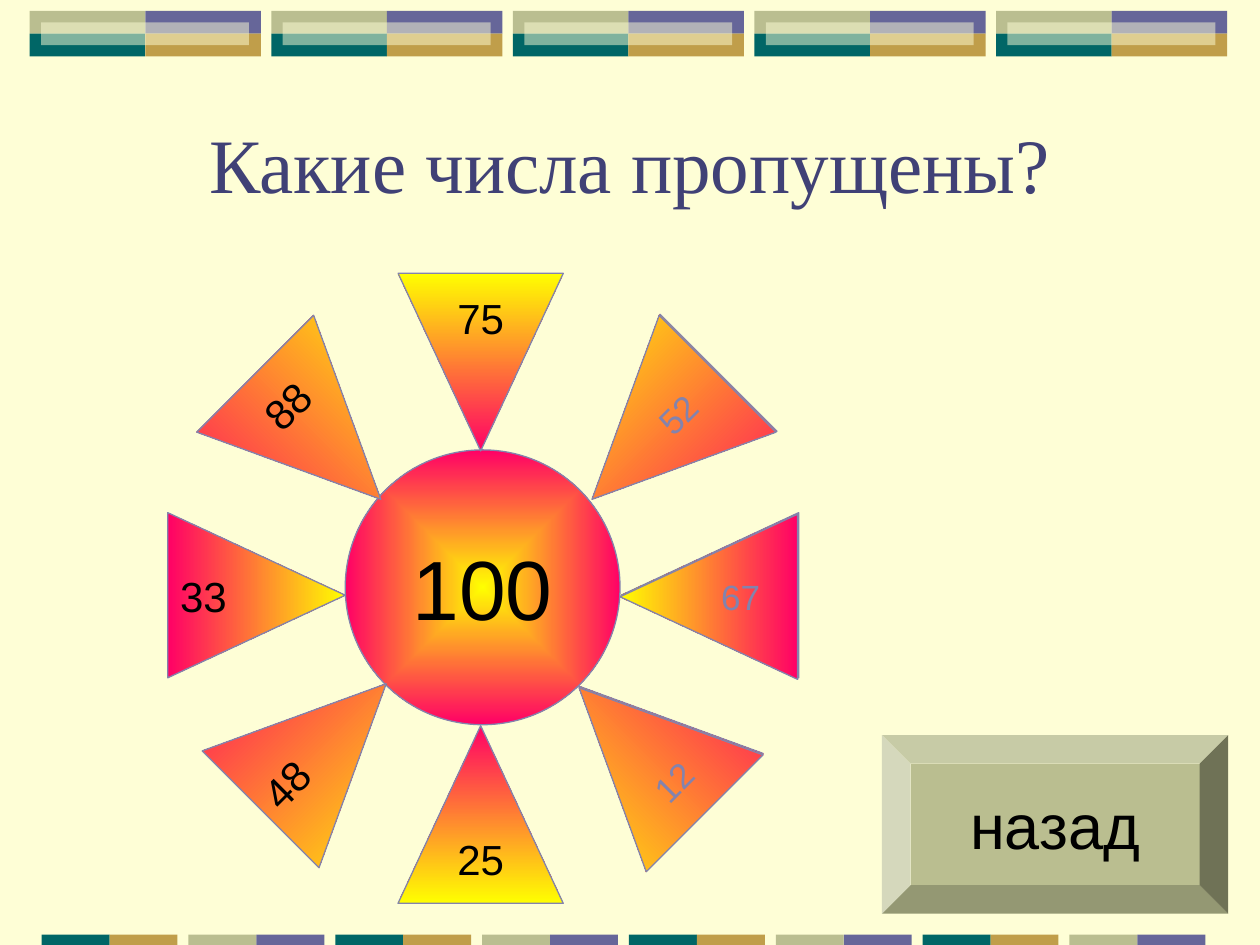
from dataclasses import dataclass

from lxml.etree import SubElement
from pptx import Presentation
from pptx.dml.color import RGBColor
from pptx.enum.shapes import MSO_SHAPE as Shape
from pptx.enum.text import MSO_ANCHOR, PP_ALIGN
from pptx.oxml.ns import qn
from pptx.util import Cm, Pt


@dataclass(frozen=True)
class Theme:
    cream: str = "FEFED6"
    violet: str = "666699"
    gold: str = "C09E4A"
    teal: str = "006666"
    olive: str = "BABE90"
    title: str = "404176"
    outline: str = "8383AD"
    pink: str = "FF0066"
    yellow: str = "FFFF00"
    ink: str = "000000"
    serif: str = "Times New Roman"
    sans: str = "Arial"
    title_size: int = 44
    centre_size: int = 48
    button_size: int = 36
    given_size: int = 24
    answer_size: int = 20


THEME = Theme()
PETAL_WIDTH, PETAL_HEIGHT = 3.33, 3.58

# (text, rotation, centre x, centre y); the petals without text are the blanks to fill
GIVEN_PETALS = [
    ("25", 0, 9.69, 16.42),
    ("75", 180, 9.69, 7.3),
    ("33", 90, 5.17, 12),
    ("", 270, 14.31, 12),
    ("88", 135, 6.41, 8.8),
    ("", 315, 12.94, 15.1),
    ("", 225, 13.22, 8.78),
    ("48", 45, 6.52, 15.05),
]
ANSWER_PETALS = [
    ("67", 270, 14.29, 12.03),
    ("12", 315, 12.94, 15.13),
    ("52", 225, 13.2, 8.8),
]


def rgb(code):
    return RGBColor.from_string(code)


def add_preset(page, kind, left, top, width, height):
    shape = page.shapes.add_shape(kind, Cm(left), Cm(top), Cm(width), Cm(height))
    shape.shadow.inherit = False
    shape.line.fill.background()
    return shape


def add_block(page, left, top, width, height, color, opacity=100):
    block = add_preset(page, Shape.RECTANGLE, left, top, width, height)
    block.fill.solid()
    block.fill.fore_color.rgb = rgb(color)
    if opacity < 100:
        fill_color = block._element.spPr.find(".//" + qn("a:srgbClr"))
        SubElement(fill_color, qn("a:alpha"), val=str(opacity * 1000))


def set_text(shape, text, size, color=THEME.ink, font=THEME.sans, wrap=False):
    frame = shape.text_frame
    frame.text = text
    frame.word_wrap = wrap
    frame.vertical_anchor = MSO_ANCHOR.MIDDLE
    para = frame.paragraphs[0]
    para.alignment = PP_ALIGN.CENTER
    para.font.size = Pt(size)
    para.font.name = font
    para.font.color.rgb = rgb(color)


def set_gradient(shape, start, end):
    shape.fill.gradient()
    for stop, color in zip(shape.fill.gradient_stops, (start, end)):
        stop.color.rgb = rgb(color)
    shape.line.color.rgb = rgb(THEME.outline)
    shape.line.width = Pt(0.75)


def turn_text(shape, angle):
    """Turn the text inside its shape by a multiple of 90 degrees."""
    body = shape.text_frame._txBody.bodyPr
    if angle % 180:
        body.set("vert", "eaVert")
        angle -= 90
    body.set("rot", str(angle * 60000))


def add_petal(page, text, rotation, centre_x, centre_y, size, color):
    petal = add_preset(page, Shape.ISOSCELES_TRIANGLE, centre_x - PETAL_WIDTH / 2,
                       centre_y - PETAL_HEIGHT / 2, PETAL_WIDTH, PETAL_HEIGHT)
    petal.rotation = rotation
    set_gradient(petal, THEME.pink, THEME.yellow)
    petal.fill.gradient_angle = (2 * rotation - 90) % 360
    if text:
        set_text(petal, text, size, color)
        tilt = 315 if rotation % 90 else 0
        turn_text(petal, (tilt - rotation) % 360)


def add_centre(page):
    centre = add_preset(page, Shape.OVAL, 6.96, 9.07, 5.54, 5.54)
    set_gradient(centre, THEME.yellow, THEME.pink)
    gradient = centre._element.spPr.find(qn("a:gradFill"))
    gradient.remove(gradient.find(qn("a:lin")))
    path = SubElement(gradient, qn("a:path"), path="rect")
    SubElement(path, qn("a:fillToRect"), l="50000", t="50000", r="50000", b="50000")
    set_text(centre, "100", THEME.centre_size)


def add_header_band(page):
    width, height, top = 2.33, 0.46, 0.22
    colors = ((THEME.olive, THEME.violet), (THEME.teal, THEME.gold))
    for index in range(5):
        left = 0.6 + index * 4.87
        for row, pair in enumerate(colors):
            for column, color in enumerate(pair):
                add_block(page, left + column * width, top + row * height,
                          width, height, color)
        add_block(page, left + 0.23, top + height / 2, 4.19, height, THEME.cream, 50)


def add_footer_band(page):
    width = 1.37
    pairs = ((THEME.teal, THEME.gold), (THEME.olive, THEME.violet))
    for index in range(8):
        for column, color in enumerate(pairs[index % 2]):
            add_block(page, 0.84 + index * 2.96 + column * width, 18.84,
                      width, 0.21, color)


def add_title(page):
    box = page.shapes.add_textbox(Cm(1.9), Cm(1.7), Cm(21.6), Cm(3.18))
    set_text(box, "Какие числа пропущены?", THEME.title_size, THEME.title,
             THEME.serif, wrap=True)


def add_back_button(page):
    button = add_preset(page, Shape.BEVEL, 17.78, 14.82, 6.98, 3.6)
    button.adjustments[0] = 0.16
    button.fill.solid()
    button.fill.fore_color.rgb = rgb(THEME.olive)
    set_text(button, "назад", THEME.button_size)


def main():
    deck = Presentation()
    deck.slide_width, deck.slide_height = Cm(25.4), Cm(19.05)
    page = deck.slides.add_slide(deck.slide_layouts[6])
    page.background.fill.solid()
    page.background.fill.fore_color.rgb = rgb(THEME.cream)

    add_header_band(page)
    add_footer_band(page)
    add_title(page)
    add_centre(page)
    for petal in GIVEN_PETALS:
        add_petal(page, *petal, THEME.given_size, THEME.ink)
    add_back_button(page)
    for petal in ANSWER_PETALS:
        add_petal(page, *petal, THEME.answer_size, THEME.outline)
    deck.save("out.pptx")


if __name__ == "__main__":
    main()
